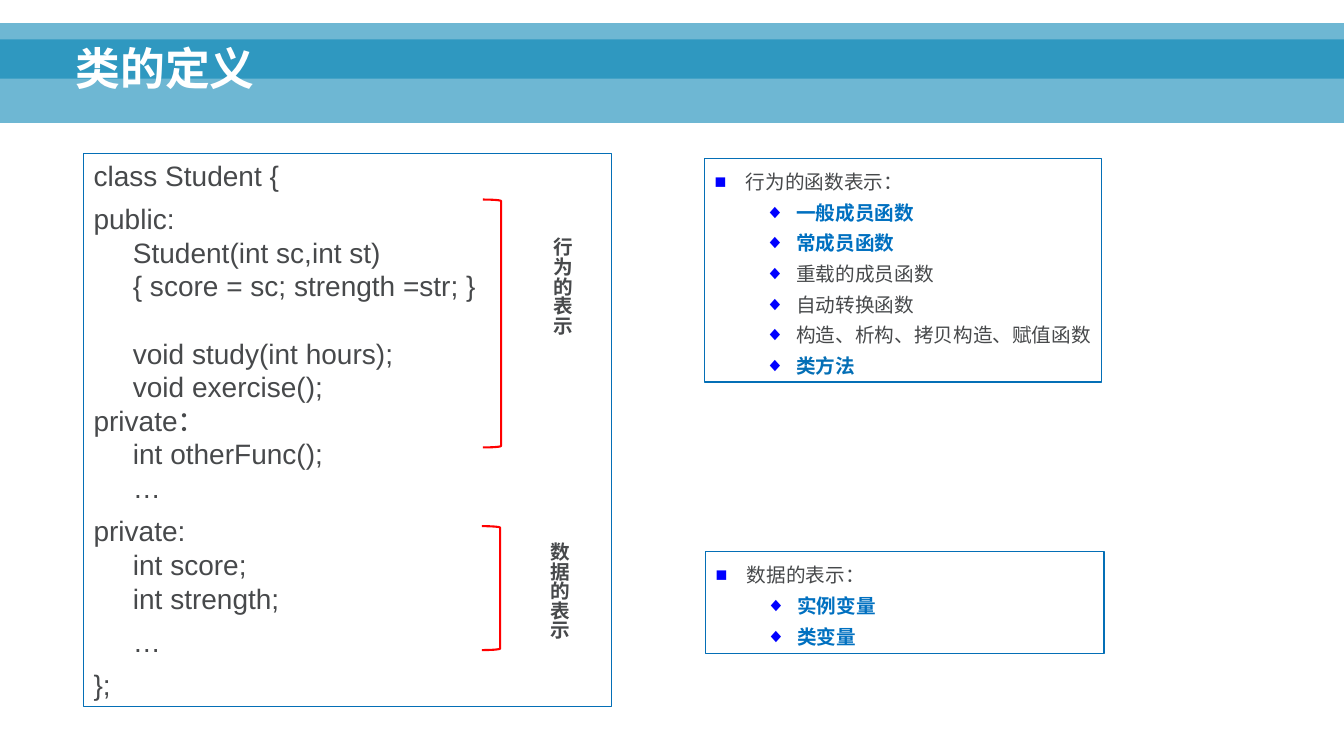
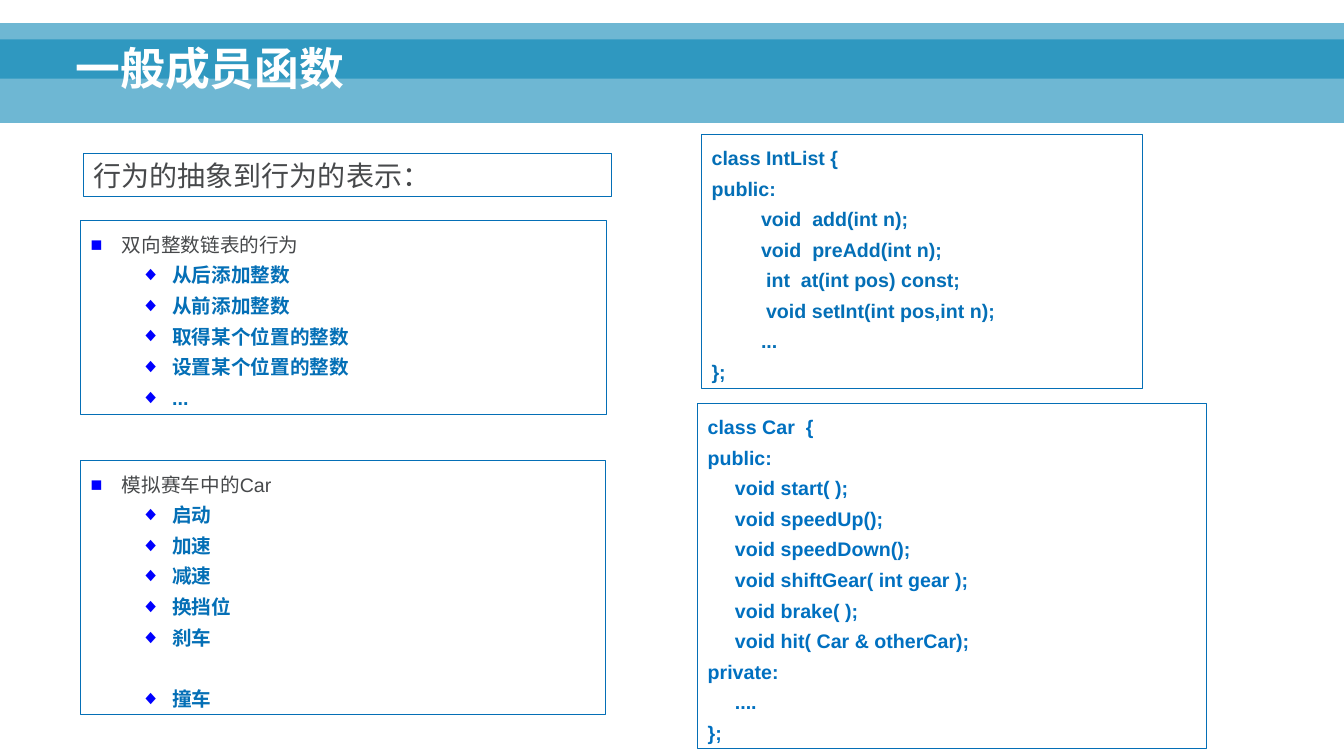
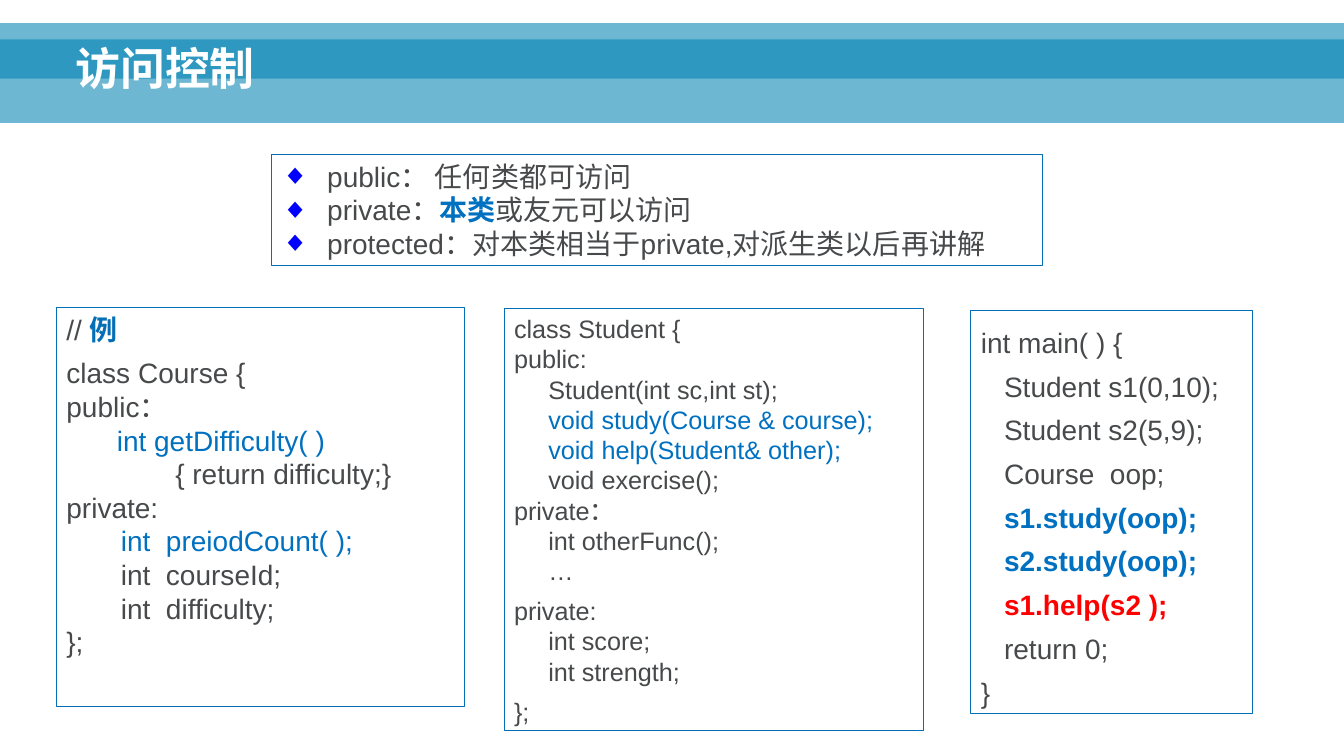
from dataclasses import dataclass
from typing import Any

from lxml import etree
from pptx import Presentation
from pptx.dml.color import RGBColor
from pptx.enum import shapes, text
from pptx.oxml import ns
from pptx.util import Inches, Pt

BAND, EDGE, RED, BULLET = "0082B3", "046FB6", "FF0000", "0000FF"
STYLES = {
    "plain": {"color": "47494B", "bold": False},
    "strong": {"color": "47494B", "bold": True},
    "title": {"color": "FFFFFF", "bold": True},
    "key": {"color": "0070C0", "bold": True},
    "deep": {"color": EDGE, "bold": True},
    "member": {"color": "0070C0", "bold": False},
    "alert": {"color": RED, "bold": True},
}
BANDS = [(0, 0.39, 13.33, 0.83), (0, 0.23, 13.33, 0.55)]
TITLE_BOX = (0.65, 0.12, 11.98, 0.87)
PARAGRAPH_GAP = 7


@dataclass
class Line:
    """One line of a panel: its text or runs, and how it is set."""
    content: Any
    style: str = "plain"
    indent: float = 0
    gap: float = 0
    bullet: str = ""
    hang: float = 0.31


def rgb(value):
    """Turn a hex string into a colour."""
    return RGBColor.from_string(value)


def inches(box):
    """Turn a box of numbers into lengths."""
    return [Inches(length) for length in box]


def sub(parent, tag, **attributes):
    """Append a drawing element to a parent."""
    return etree.SubElement(parent, ns.qn(tag), attributes)


def add_bullet(paragraph, mark, hang):
    """Give a paragraph a hanging coloured bullet."""
    properties = paragraph._p.get_or_add_pPr()
    properties.set("indent", str(-Inches(hang)))
    sub(sub(properties, "a:buClr"), "a:srgbClr", val=BULLET)
    sub(properties, "a:buFont", typeface="Arial")
    sub(properties, "a:buChar", char=mark)


def write(frame, lines, size, spacing=None, **layout):
    """Fill a text frame with lines."""
    for name, value in {"word_wrap": True, "vertical_anchor": text.MSO_ANCHOR.TOP, **layout}.items():
        setattr(frame, name, value)
    for index, line in enumerate(lines):
        paragraph = frame.paragraphs[0] if index == 0 else frame.add_paragraph()
        form = {"alignment": text.PP_ALIGN.LEFT, "space_before": Pt(line.gap), "line_spacing": spacing}
        for name, value in form.items():
            setattr(paragraph, name, value)
        paragraph._p.get_or_add_pPr().set("marL", str(Inches(line.indent)))
        if line.bullet:
            add_bullet(paragraph, line.bullet, line.hang)
        runs = [(line.content, line.style)] if isinstance(line.content, str) else line.content
        for words, style in runs:
            run = paragraph.add_run()
            run.text = words
            look = STYLES[style]
            for name, value in {"name": "Arial", "size": Pt(size), "bold": look["bold"]}.items():
                setattr(run.font, name, value)
            run.font.color.rgb = rgb(look["color"])


def outline(slide, kind, box, color, width):
    """Add an unfilled outlined shape."""
    shape = slide.shapes.add_shape(kind, *inches(box))
    shape.shadow.inherit = False
    shape.fill.background()
    shape.line.color.rgb = rgb(color)
    shape.line.width = Pt(width)
    return shape


def panel(slide, box, lines, size, spacing=None):
    """Place a framed block of lines."""
    frame = outline(slide, shapes.MSO_SHAPE.RECTANGLE, box, EDGE, 0.75)
    write(frame.text_frame, lines, size, spacing)


def new_slide(deck, title):
    """Start a slide with the translucent bands and its title."""
    slide = deck.slides.add_slide(deck.slide_layouts[6])
    for box in BANDS:
        band = slide.shapes.add_shape(shapes.MSO_SHAPE.RECTANGLE, *inches(box))
        band.shadow.inherit = False
        band.fill.solid()
        band.fill.fore_color.rgb = rgb(BAND)
        band.line.fill.background()
        sub(band._element.spPr.find(".//" + ns.qn("a:srgbClr")), "a:alpha", val="57000")
    heading = slide.shapes.add_textbox(*inches(TITLE_BOX))
    write(heading.text_frame, [Line(title, "title")], 32, 0.9, vertical_anchor=text.MSO_ANCHOR.BOTTOM)
    return slide


def bracket_label(slide, bracket, label_box, label):
    """Mark a stretch of code with a bracket and a vertical label."""
    outline(slide, shapes.MSO_SHAPE.RIGHT_BRACKET, bracket, RED, 1.5)
    frame = slide.shapes.add_textbox(*inches(label_box)).text_frame
    write(frame, [Line(label, "strong")], 14, 1.3, word_wrap=False)
    frame._txBody.bodyPr.set("vert", "eaVert")


def topic_list(slide, box, topic, items):
    """Place a framed topic with its bulleted items."""
    lines = [Line(topic, indent=0.31, bullet="■")]
    lines += [Line(item, style, 0.81, gap, "◆") for item, style, gap in items]
    panel(slide, box, lines, 14, 1.3)


def same_style(items, style):
    """Give every item one style and no gap."""
    return [(item, style, 0) for item in items]


def code(source, step, style="plain"):
    """Make lines of code, indenting those that begin with a tab and spacing those that begin with a bar."""
    return [Line(row.lstrip("|\t"), style, step * row.count("\t"), PARAGRAPH_GAP * row.startswith("|"))
            for row in source]


def definition_slide(deck):
    """Build the slide on defining a class."""
    slide = new_slide(deck, "类的定义")
    student = code(["class Student {", "|public:", "\tStudent(int sc,int st)",
                    "\t{ score = sc; strength =str; }", "\tvoid study(int hours);",
                    "\tvoid exercise();", "private：", "\tint otherFunc();", "\t…",
                    "|private:", "\tint score;", "\tint strength;", "|\t…", "|};"], 0.39)
    student[4].gap = 24
    panel(slide, (0.83, 1.52, 5.24, 5.49), student, 20)
    bracket_label(slide, (4.79, 1.98, 0.18, 2.46), (5.32, 2.26, 0.5, 1.07), "行为的表示")
    bracket_label(slide, (4.78, 5.22, 0.18, 1.23), (5.29, 5.28, 0.5, 1.07), "数据的表示")
    functions = same_style(["一般成员函数", "常成员函数"], "key")
    functions += same_style(["重载的成员函数", "自动转换函数", "构造、析构、拷贝构造、赋值函数"], "plain")
    functions += same_style(["类方法"], "deep")
    topic_list(slide, (6.99, 1.57, 3.94, 2.22), "行为的函数表示：", functions)
    topic_list(slide, (7, 5.47, 3.95, 1.01), "数据的表示：", same_style(["实例变量", "类变量"], "key"))


def member_slide(deck):
    """Build the slide on ordinary member functions."""
    slide = new_slide(deck, "一般成员函数")
    panel(slide, (0.83, 1.52, 5.24, 0.43), [Line("行为的抽象到行为的表示：")], 20)
    topic_list(slide, (0.8, 2.19, 5.22, 1.92), "双向整数链表的行为", same_style(
        ["从后添加整数", "从前添加整数", "取得某个位置的整数", "设置某个位置的整数", "..."], "deep"))
    actions = same_style(["启动", "加速", "减速", "换挡位", "刹车"], "deep") + [("撞车", "deep", 22)]
    topic_list(slide, (0.8, 4.57, 5.21, 2.52), "模拟赛车中的Car", actions)
    int_list = code(["class IntList {", "public:", "\tvoid  add(int n);", "\tvoid  preAdd(int n);",
                     "\tint  at(int pos) const;", "\tvoid setInt(int pos,int n);", "\t...", "};"], 0.49, "deep")
    for line in int_list[4:6]:
        line.indent = 0.54
    panel(slide, (6.96, 1.33, 4.37, 2.52), int_list, 14, 1.3)
    car = code(["class Car  {", "public:", "\tvoid start( );", "\tvoid speedUp();", "\tvoid speedDown();",
                "\tvoid shiftGear( int gear );", "\tvoid brake( );", "\tvoid hit( Car & otherCar);",
                "private:", "\t....", "};"], 0.27, "key")
    panel(slide, (6.92, 4, 5.05, 3.43), car, 14, 1.3)


def access_slide(deck):
    """Build the slide on access control."""
    slide = new_slide(deck, "访问控制")
    rules = [" public： 任何类都可访问",
             [(" private：", "plain"), ("本类", "key"), ("或友元可以访问", "plain")],
             " protected：对本类相当于private,对派生类以后再讲解"]
    panel(slide, (2.69, 1.53, 7.65, 1.1),
          [Line(rule, indent=0.38, bullet="◆", hang=0.38) for rule in rules], 20)
    course = [Line([("// ", "plain"), ("例", "deep")])]
    course += code(["|class Course {", "public：", "\tint getDifficulty( )", "\t\t{ return difficulty;}", "private:",
                    "\tint  preiodCount( );", "\tint  courseId;", "\tint  difficulty;", "};"], 0.54)
    course[3].indent = 0.5
    student = code(["class Student {", "public:", "\tStudent(int sc,int st);", "\tvoid study(Course & course);",
                    "\tvoid help(Student& other);", "\tvoid exercise();", "private：", "\tint otherFunc();",
                    "\t…", "|private:", "\tint score;", "\tint strength;", "|};"], 0.34)
    main_code = code(["int main( ) {", "\tStudent s1(0,10);", "\tStudent s2(5,9);", "\tCourse  oop;",
                      "\ts1.study(oop);", "\ts2.study(oop);", "\ts1.help(s2 );", "\treturn 0;", "}"], 0.23)
    marked = [(course, (3, 6), "member"), (student, (3, 4), "member"),
              (main_code, (4, 5), "key"), (main_code, (6,), "alert")]
    for lines, rows, style in marked:
        for row in rows:
            lines[row].style = style
    panel(slide, (0.56, 3.05, 4.05, 3.96), course, 20)
    panel(slide, (5, 3.06, 4.16, 4.19), student, 18)
    panel(slide, (9.63, 3.08, 2.79, 4), main_code, 20, 1.3)


def main():
    """Build and save the deck."""
    deck = Presentation()
    deck.slide_width, deck.slide_height = Inches(13.33), Inches(7.5)
    for build in (definition_slide, member_slide, access_slide):
        build(deck)
    deck.save("out.pptx")


if __name__ == "__main__":
    main()
